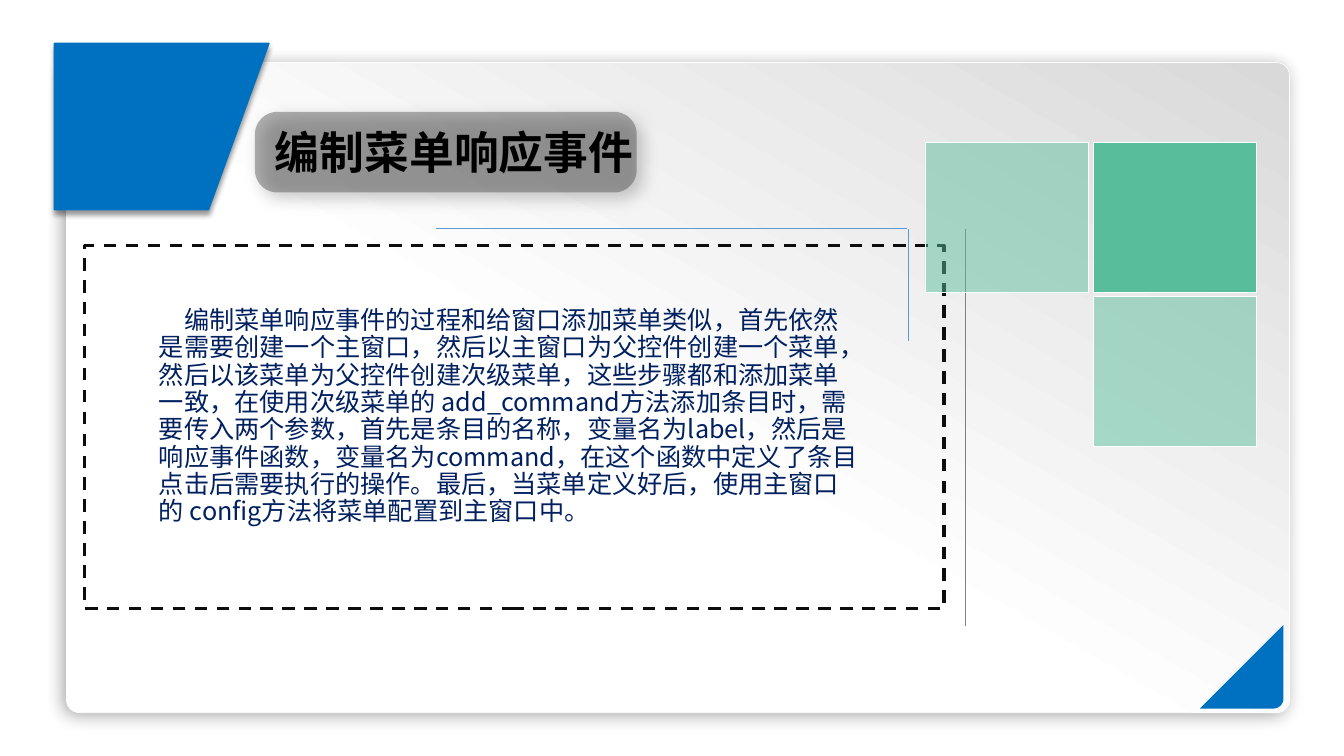
import math

from lxml import etree
from pptx import Presentation
from pptx.dml.color import RGBColor
from pptx.enum.dml import MSO_LINE
from pptx.enum.shapes import MSO_CONNECTOR, MSO_SHAPE
from pptx.enum.text import MSO_AUTO_SIZE
from pptx.oxml.ns import qn
from pptx.util import Inches, Pt

RECTANGLE = MSO_SHAPE.RECTANGLE
ROUNDED = MSO_SHAPE.ROUNDED_RECTANGLE
STRAIGHT = MSO_CONNECTOR.STRAIGHT
DASH = MSO_LINE.DASH
GROW = MSO_AUTO_SIZE.SHAPE_TO_FIT_TEXT

FONT = "Noto Sans CJK SC"
COLORS = {
    "white": "FFFFFF", "card_end": "D9D9D9", "blue": "0070C0",
    "rule_gray": "808080", "rule_blue": "5B9BD5", "frame": "0D0D0D",
    "green": "58BD9B", "plate": "404040", "black": "000000", "navy": "002060",
}
TITLE = "编制菜单响应事件"
BODY = (
    "编制菜单响应事件的过程和给窗口添加菜单类似，首先依然是需要创建一个主窗口，"
    "然后以主窗口为父控件创建一个菜单，然后以该菜单为父控件创建次级菜单，"
    "这些步骤都和添加菜单一致，在使用次级菜单的 add_command方法添加条目时，"
    "需要传入两个参数，首先是条目的名称，变量名为label，然后是响应事件函数，"
    "变量名为command，在这个函数中定义了条目点击后需要执行的操作。"
    "最后，当菜单定义好后，使用主窗口的 config方法将菜单配置到主窗口中。"
)


def rgb(name):
    return RGBColor.from_string(COLORS[name])


class SlideBuilder:
    def __init__(self, slide):
        self.shapes = slide.shapes

    def style(self, shape, fill=None, alpha=None, line=None, line_width=1, shadow=None):
        """Set fill, outline and shadow; shadow is (alpha %, blur pt, distance pt, angle)."""
        shape.shadow.inherit = False
        if fill:
            shape.fill.solid()
            shape.fill.fore_color.rgb = rgb(fill)
        else:
            shape.fill.background()
        if alpha:
            color = shape._element.spPr.find(qn("a:solidFill")).find(qn("a:srgbClr"))
            etree.SubElement(color, qn("a:alpha"), val=str(alpha * 1000))
        if line:
            shape.line.color.rgb = rgb(line)
            shape.line.width = Pt(line_width)
        else:
            shape.line.fill.background()
        if shadow:
            self.cast_shadow(shape, *shadow)
        return shape

    def cast_shadow(self, shape, alpha, blur, distance, angle):
        effects = shape._element.spPr.find(qn("a:effectLst"))
        outer = etree.SubElement(
            effects, qn("a:outerShdw"), blurRad=str(Pt(blur)), dist=str(Pt(distance)),
            dir=str(angle * 60000), algn="ctr", rotWithShape="0")
        color = etree.SubElement(outer, qn("a:srgbClr"), val=COLORS["black"])
        etree.SubElement(color, qn("a:alpha"), val=str(alpha * 1000))

    def box(self, kind, left, top, width, height, radius=None, **style):
        shape = self.shapes.add_shape(
            kind, Inches(left), Inches(top), Inches(width), Inches(height))
        if radius is not None:
            shape.adjustments[0] = radius
        return self.style(shape, **style)

    def polygon(self, points, **style):
        start, *rest = [(Inches(x), Inches(y)) for x, y in points]
        outline = self.shapes.build_freeform(*start)
        outline.add_line_segments(rest, close=True)
        return self.style(outline.convert_to_shape(), **style)

    def rule(self, x1, y1, x2, y2, color):
        line = self.shapes.add_connector(
            STRAIGHT, Inches(x1), Inches(y1), Inches(x2), Inches(y2))
        line.line.color.rgb = rgb(color)
        line.line.width = Pt(0.5)
        etree.SubElement(line._element.spPr, qn("a:effectLst"))

    def text(self, content, left, top, width, height, size, color,
             bold=False, wrap=True, indent=0, spacing=None):
        frame = self.shapes.add_textbox(
            Inches(left), Inches(top), Inches(width), Inches(height)).text_frame
        frame.word_wrap = wrap
        frame.auto_size = GROW
        paragraph = frame.paragraphs[0]
        if spacing:
            paragraph.line_spacing = spacing
        if indent:
            properties = paragraph._p.get_or_add_pPr()
            properties.set("marL", str(Inches(indent)))
            properties.set("indent", str(Inches(indent)))
        run = paragraph.add_run()
        run.text = content
        run.font.size = Pt(size)
        run.font.bold = bold
        run.font.name = FONT
        run.font.color.rgb = rgb(color)
        etree.SubElement(run._r.get_or_add_rPr(), qn("a:ea"), typeface=FONT)


def corner_points(left, top, right, bottom, radius, steps=8):
    """Triangle in the lower right corner, with its right angle rounded."""
    angles = [math.pi / 2 * step / steps for step in range(steps + 1)]
    arc = [(right - radius + radius * math.cos(a), bottom - radius + radius * math.sin(a))
           for a in angles]
    return [(right, top), *arc, (left, bottom)]


def main():
    deck = Presentation()
    deck.slide_width, deck.slide_height = Inches(13.34), Inches(7.5)
    page = SlideBuilder(deck.slides.add_slide(deck.slide_layouts[6]))

    card = page.box(ROUNDED, 0.66, 0.62, 12.14, 6.45, radius=0.02,
                    line="white", line_width=0.5, shadow=(34, 12, 3, 135))
    card.fill.gradient()
    card.fill.gradient_angle = 60
    for stop, (position, color) in zip(card.fill.gradient_stops,
                                       [(0.45, "white"), (1, "card_end")]):
        stop.position = position
        stop.color.rgb = rgb(color)

    page.polygon(corner_points(11.91, 6.2, 12.74, 7.03, 0.1), fill="blue")
    page.polygon([(2.67, 0.43), (0.54, 0.43), (0.54, 2.08), (2.07, 2.08)],
                 fill="blue", line="blue", shadow=(40, 4, 3, 90))

    page.rule(9.58, 2.27, 9.58, 6.21, "rule_gray")
    page.rule(4.33, 2.27, 9, 2.27, "rule_blue")
    page.rule(9.02, 2.27, 9.02, 3.38, "rule_blue")

    frame = page.box(RECTANGLE, 0.84, 2.44, 8.53, 3.6, line="frame", line_width=2.25)
    frame.line.dash_style = DASH

    tile_left, tile_top, step_x, step_y = 9.18, 1.41, 1.67, 1.53
    for column, row, alpha in [(1, 1, 49), (0, 0, 49), (1, 0, None)]:
        page.box(RECTANGLE, tile_left + column * step_x, tile_top + row * step_y, 1.62, 1.49,
                 fill="green", alpha=alpha, line="white", line_width=0.25)

    page.text(BODY, 1.23, 3, 7.44, 2.28, 18, "navy", indent=0.25, spacing=Pt(19.5))
    page.box(ROUNDED, 2.53, 1.11, 3.79, 0.8, radius=0.28,
             fill="plate", alpha=40, shadow=(50, 12, 6, 45))
    page.text(TITLE, 2.63, 1.19, 3.79, 0.64, 32, "black", bold=True, wrap=False)

    deck.save("out.pptx")


if __name__ == "__main__":
    main()
